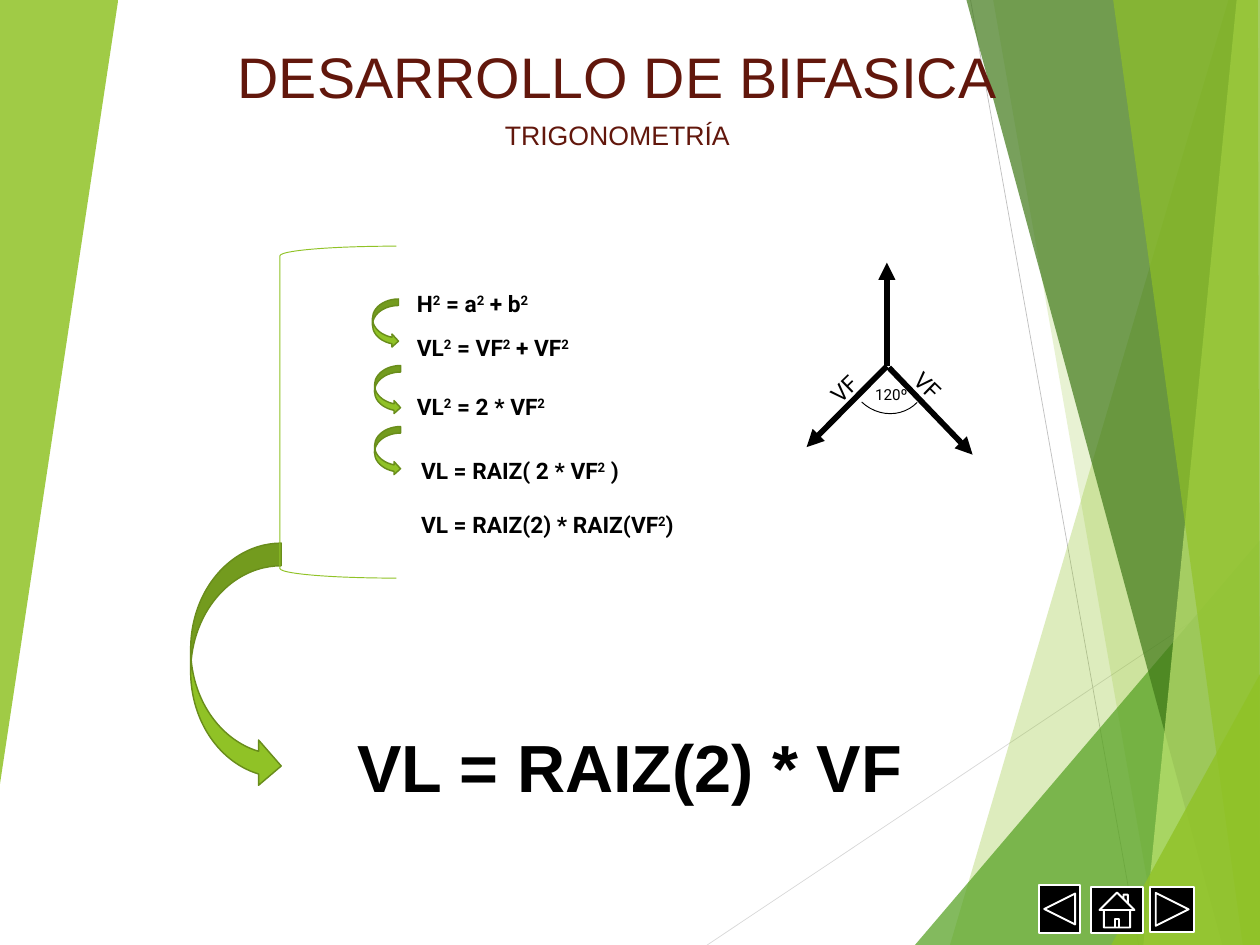
"""Builds the slide on deriving the two-phase line voltage."""
from lxml.etree import SubElement
from pptx import Presentation
from pptx.dml.color import RGBColor
from pptx.enum.shapes import MSO_CONNECTOR, MSO_SHAPE as SHAPE
from pptx.enum.text import MSO_AUTO_SIZE, PP_ALIGN as ALIGN
from pptx.oxml.ns import qn
from pptx.util import Pt

PX = 9144
WIDTH, HEIGHT = 1837, 1378

BLACK = RGBColor(0x00, 0x00, 0x00)
WHITE = RGBColor(0xFF, 0xFF, 0xFF)
MAROON = RGBColor(0x62, 0x17, 0x0C)
LIME = RGBColor(0x90, 0xC2, 0x26)
OLIVE = RGBColor(0x69, 0x8D, 0x1B)
GREEN = RGBColor(0x54, 0xA0, 0x21)
FOREST = RGBColor(0x3F, 0x78, 0x18)
PALE = RGBColor(0xBF, 0xE4, 0x71)
SILVER = RGBColor(0xD8, 0xD8, 0xD8)
GREY = RGBColor(0xBF, 0xBF, 0xBF)

BACK_LINES = [((1031, 1378), (1837, 840), SILVER), ((1415, 0), (1660, 1378), GREY)]
FACETS = [
    (LIME, 30, [(1791, 0), (1385, HEIGHT), (WIDTH, HEIGHT), (WIDTH, 0)]),
    (LIME, 20, [(1448, 0), (1689, HEIGHT), (WIDTH, HEIGHT), (WIDTH, 0)]),
    (GREEN, 72, [(1334, HEIGHT), (WIDTH, 788), (WIDTH, HEIGHT)]),
    (FOREST, 70, [(1409, 0), (1782, HEIGHT), (WIDTH, HEIGHT), (WIDTH, 0)]),
    (PALE, 70, [(1803, 0), (1667, HEIGHT), (WIDTH, HEIGHT), (WIDTH, 0)]),
    (LIME, 65, [(1623, 0), (1812, HEIGHT), (WIDTH, HEIGHT), (1834, 0)]),
    (LIME, 80, [(1620, HEIGHT), (WIDTH, 983), (WIDTH, HEIGHT)]),
    (LIME, 85, [(0, 0), (172, 0), (172, 2), (0, 1143)]),
]
HEADINGS = [
    ("DESARROLLO DE BIFASICA", (255, 55, 1290, 111), 60, MAROON, False),
    ("TRIGONOMETRÍA", (255, 169, 1290, 57), 28, MAROON, False),
    ("VL = RAIZ(2) * VF", (0, 1053, WIDTH, 128), 70, BLACK, True),
]
FORMULAS = [
    ("H|2| = a|2| + b|2", 598, 418),
    ("VL|2| = VF|2| + VF|2", 598, 482),
    ("VL|2| = 2 * VF|2", 598, 568),
    ("VL = RAIZ( 2 * VF|2| )", 604, 661),
    ("VL = RAIZ(2) * RAIZ(VF|2|)", 604, 740),
]
STEP_ARROWS = [(543, 436, 38, 71), (546, 622, 38, 71), (546, 533, 38, 71), (278, 792, 132, 358)]
BUTTONS = [
    (SHAPE.ACTION_BUTTON_HOME, (1590, 1293, 77, 68)),
    (SHAPE.ACTION_BUTTON_FORWARD_OR_NEXT, (1677, 1293, 64, 66)),
    (SHAPE.ACTION_BUTTON_BACK_OR_PREVIOUS, (1515, 1291, 60, 69)),
]
PHASORS = [((1296, 536), (1418, 663)), ((1293, 533), (1293, 383)), ((1293, 534), (1176, 652))]
PHASOR_LABELS = [
    ("VF", (1191, 517, 129, 50), 23.8, 315.9),
    ("VF", (1313, 562, 129, 50), 23.8, 44.2),
    ("120º", (1266, 557, 129, 37), 16, 0),
]


def emu(lengths):
    return [length * PX for length in lengths]


def add_line(page, start, end, color, weight, arrow=False):
    line = page.shapes.add_connector(MSO_CONNECTOR.STRAIGHT, *emu(start + end))
    line.line.color.rgb = color
    line.line.width = Pt(weight)
    if arrow:
        SubElement(line.line._get_or_add_ln(), qn("a:tailEnd"), type="triangle")
    SubElement(line._element.spPr, qn("a:effectLst"))


def add_facet(page, color, opacity, points):
    builder = page.shapes.build_freeform(*points[0], scale=PX)
    builder.add_line_segments(points[1:], close=True)
    facet = builder.convert_to_shape()
    facet.shadow.inherit = False
    facet.fill.solid()
    facet.fill.fore_color.rgb = color
    facet.line.fill.background()
    tint = facet._element.spPr.find(qn("a:solidFill")).find(qn("a:srgbClr"))
    SubElement(tint, qn("a:alpha"), val=str(opacity * 1000))


def add_figure(page, kind, frame, fill, outline, weight):
    figure = page.shapes.add_shape(kind, *emu(frame))
    figure.shadow.inherit = False
    if fill is None:
        figure.fill.background()
    else:
        figure.fill.solid()
        figure.fill.fore_color.rgb = fill
    figure.line.color.rgb = outline
    figure.line.width = Pt(weight)
    return figure


def add_text(page, text, frame, size, font, color=BLACK, bold=False, align=ALIGN.LEFT, turn=0):
    box = page.shapes.add_textbox(*emu(frame))
    box.rotation = turn
    box.text_frame.word_wrap = True
    box.text_frame.auto_size = MSO_AUTO_SIZE.SHAPE_TO_FIT_TEXT
    para = box.text_frame.paragraphs[0]
    para.alignment = align
    for index, piece in enumerate(text.split("|")):
        span = para.add_run()
        span.text = piece
        span.font.name = font
        span.font.size = Pt(size)
        span.font.bold = bold
        span.font.color.rgb = color
        if index % 2:
            span._r.get_or_add_rPr().set("baseline", "30000")


def main():
    deck = Presentation()
    deck.slide_width, deck.slide_height = emu((WIDTH, HEIGHT))
    page = deck.slides.add_slide(deck.slide_layouts[6])
    for start, end, color in BACK_LINES:
        add_line(page, start, end, color, 0.75)
    for color, opacity, points in FACETS:
        add_facet(page, color, opacity, points)
    for text, frame, size, color, bold in HEADINGS:
        add_text(page, text, frame, size, "Arial", color, bold, ALIGN.CENTER)
    for text, left, top in FORMULAS:
        add_text(page, text, (left, top, 750, 50), 23.8, "Roboto", bold=True)
    for frame in STEP_ARROWS:
        add_figure(page, SHAPE.CURVED_RIGHT_ARROW, frame, LIME, OLIVE, 1.5)
    for kind, frame in BUTTONS:
        add_figure(page, kind, frame, BLACK, WHITE, 2)
    add_figure(page, SHAPE.LEFT_BRACKET, (408, 359, 170, 484), None, LIME, 1)
    for start, end in PHASORS:
        add_line(page, start, end, BLACK, 6, arrow=True)
    angle = add_figure(page, SHAPE.ARC, (1239, 487, 111, 118), None, BLACK, 1)
    angle.rotation = 133.7
    for text, frame, size, turn in PHASOR_LABELS:
        add_text(page, text, frame, size, "Roboto", turn=turn)
    deck.save("out.pptx")


if __name__ == "__main__":
    main()
